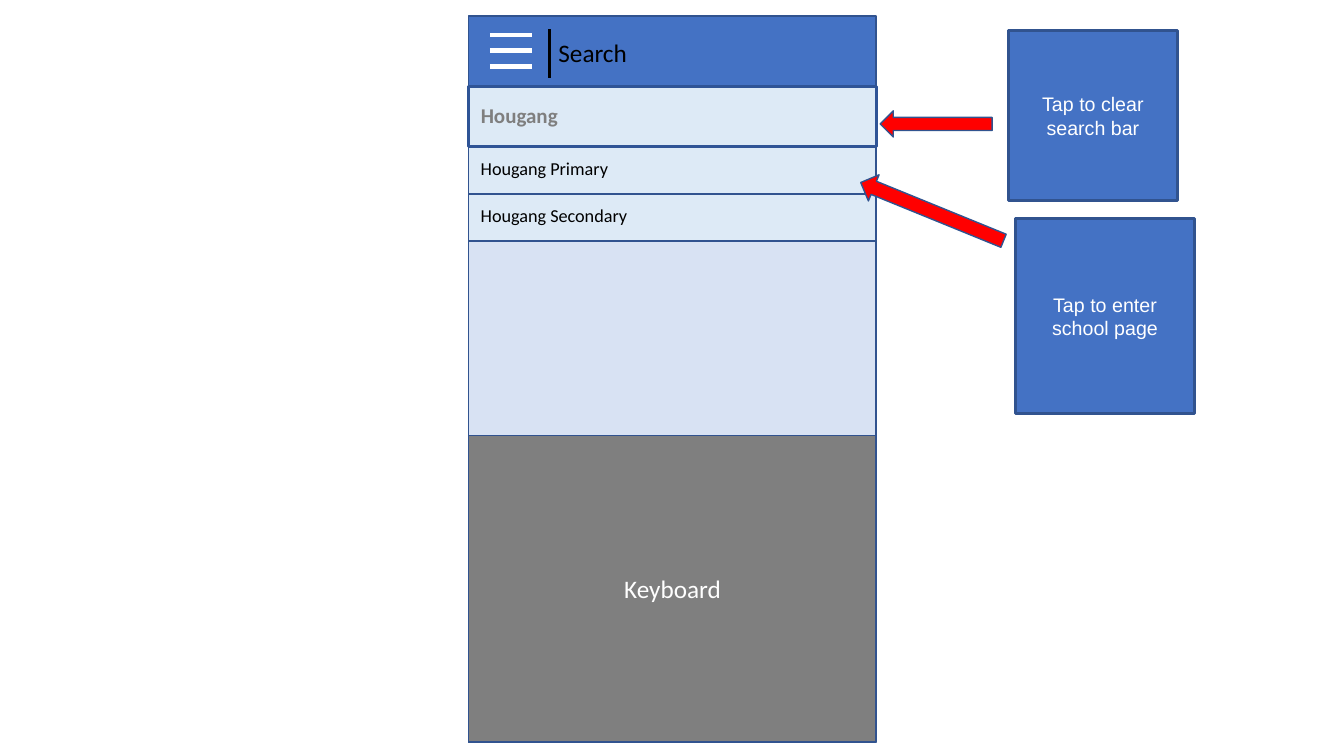
import pptx
import pptx.util
import pptx.dml.color
import pptx.enum.shapes
import pptx.enum.text
import pptx.oxml
import pptx.oxml.ns

Inches = pptx.util.Inches
Pt = pptx.util.Pt
RGBColor = pptx.dml.color.RGBColor
Shape = pptx.enum.shapes.MSO_SHAPE
Align = pptx.enum.text.PP_ALIGN
Anchor = pptx.enum.text.MSO_ANCHOR

WHITE = RGBColor(0xFF, 0xFF, 0xFF)
BLACK = RGBColor(0, 0, 0)
GREY = RGBColor(0x7F, 0x7F, 0x7F)
RED = RGBColor(0xFF, 0, 0)
BLUE = RGBColor(0x44, 0x72, 0xC4)
SCREEN_BLUE = RGBColor(0xD8, 0xE2, 0xF3)
ROW_BLUE = RGBColor(0xDD, 0xEA, 0xF6)
BORDER = RGBColor(0x31, 0x53, 0x8F)
SEARCH_BORDER = RGBColor(0x2F, 0x54, 0x96)

PHONE_LEFT, PHONE_WIDTH = 4.65, 4.04
LABEL_LEFT = 4.67
ROW_TOP, ROW_PITCH, ROW_HEIGHT = 1.46, 0.47, 0.46

SCHOOLS = ["Hougang Primary", "Hougang Secondary"]
CALLOUTS = [
    ("Tap to enter school page", (10.07, 2.17, 1.78, 1.93)),
    ("Tap to clear search bar", (10, 0.3, 1.68, 1.69)),
]
ARROWS = [((8.73, 1.1, 1.11, 0.26), 0), ((8.48, 1.96, 1.53, 0.28), 22.2)]
MENU_BAR_TOPS = [0.35, 0.5, 0.66]

PLAIN = {"name": "Calibri", "size": Pt(13)}
HEADING = {"name": "Calibri", "size": Pt(18)}
QUERY = {"name": "Calibri", "size": Pt(15), "bold": True}
CALLOUT = {"name": "Arial", "size": Pt(14)}


def write(shape, words, color, font_format):
    frame = shape.text_frame
    frame.word_wrap = True
    para = frame.paragraphs[0]
    span = para.add_run()
    span.text = words
    span.font.color.rgb = color
    for name, value in font_format.items():
        setattr(span.font, name, value)
    return frame


def add_block(page, place, fill, border=BORDER, weight=1, kind=Shape.RECTANGLE):
    block = page.shapes.add_shape(kind, *map(Inches, place))
    block.shadow.inherit = False
    block.fill.solid()
    block.fill.fore_color.rgb = fill
    block.line.color.rgb = border
    block.line.width = Pt(weight)
    return block


def add_centred_block(page, place, fill, words, font_format, weight=1):
    block = add_block(page, place, fill, weight=weight)
    frame = write(block, words, WHITE, font_format)
    frame.vertical_anchor = Anchor.MIDDLE
    frame.paragraphs[0].alignment = Align.CENTER


def add_label(page, place, words, color, font_format):
    write(page.shapes.add_textbox(*map(Inches, place)), words, color, font_format)


def add_line(page, ends, color, weight):
    line = page.shapes.add_connector(
        pptx.enum.shapes.MSO_CONNECTOR.STRAIGHT, *map(Inches, ends))
    line.line.color.rgb = color
    line.line.width = Pt(weight)
    line._element.spPr.append(pptx.oxml.parse_xml(
        "<a:effectLst %s/>" % pptx.oxml.ns.nsdecls("a")))


def main():
    deck = pptx.Presentation()
    deck.slide_width, deck.slide_height = Inches(13.33), Inches(7.5)
    page = deck.slides.add_slide(deck.slide_layouts[6])

    add_block(page, (PHONE_LEFT, 0.18, PHONE_WIDTH, 7.18), SCREEN_BLUE)
    add_centred_block(page, (PHONE_LEFT, 4.32, PHONE_WIDTH, 3.04), GREY,
                      "Keyboard", HEADING)

    for index, school in enumerate(SCHOOLS):
        top = ROW_TOP + index * ROW_PITCH
        add_block(page, (PHONE_LEFT, top, PHONE_WIDTH, ROW_HEIGHT), ROW_BLUE)
        add_label(page, (LABEL_LEFT, top + 0.05, 2.9, 0.32), school, BLACK, PLAIN)

    add_block(page, (PHONE_LEFT, 0.16, PHONE_WIDTH, 0.7), BLUE)
    add_line(page, (5.45, 0.29, 5.45, 0.77), BLACK, 1.5)
    add_label(page, (5.44, 0.32, 3.45, 0.4), "Search", BLACK, HEADING)

    add_block(page, (PHONE_LEFT, 0.86, PHONE_WIDTH, 0.59), ROW_BLUE, SEARCH_BORDER, 2)
    add_label(page, (LABEL_LEFT, 0.97, 2.49, 0.35), "Hougang", GREY, QUERY)

    for top in MENU_BAR_TOPS:
        add_line(page, (4.86, top, 5.28, top), WHITE, 3)

    for words, place in CALLOUTS:
        add_centred_block(page, place, BLUE, words, CALLOUT, weight=2)

    for place, angle in ARROWS:
        arrow = add_block(page, place, RED, kind=Shape.LEFT_ARROW)
        arrow.rotation = angle

    deck.save("out.pptx")


if __name__ == "__main__":
    main()
